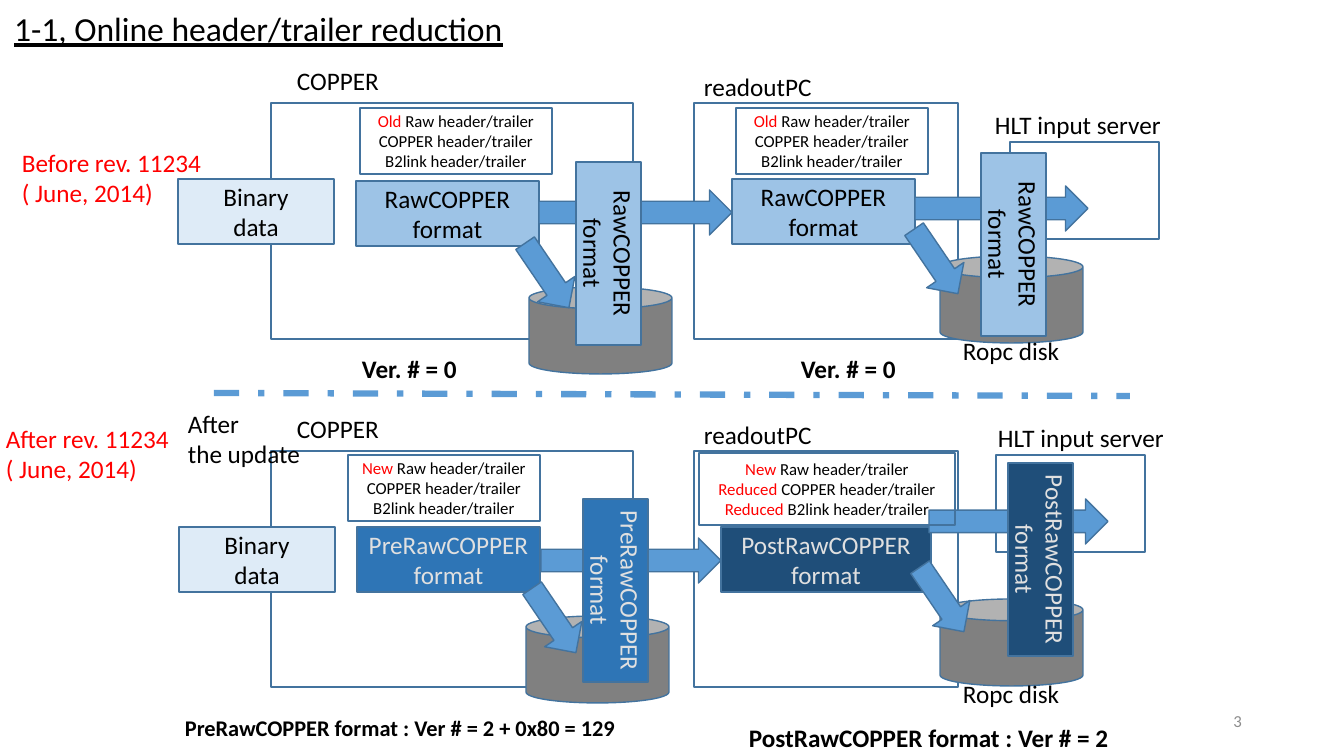
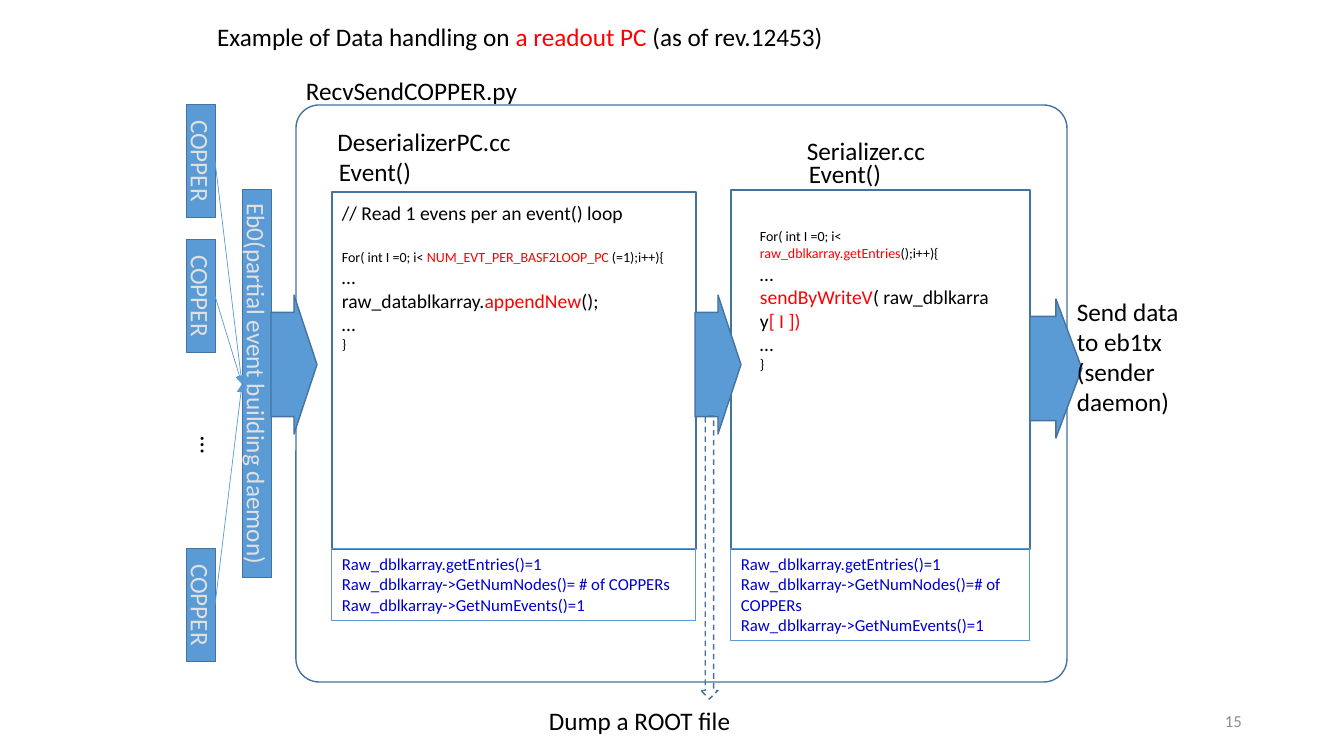
from dataclasses import dataclass

from lxml import etree
from pptx import Presentation, util as u
from pptx.dml.color import RGBColor
from pptx.enum import dml, shapes, text
from pptx.oxml.ns import qn

# Shared look
FONT = "Calibri"
BLACK = RGBColor(0x00, 0x00, 0x00)
WHITE = RGBColor(0xFF, 0xFF, 0xFF)
RED = RGBColor(0xFF, 0x00, 0x00)
CODE_BLUE = RGBColor(0x00, 0x00, 0xCC)
PALE_INK = RGBColor(0xE0, 0xE0, 0xE0)
GREY = RGBColor(0x8C, 0x8C, 0x8C)
DISK_GREY = RGBColor(0x80, 0x80, 0x80)
OUTLINE = RGBColor(0x43, 0x73, 0x9E)
ACCENT = RGBColor(0x5B, 0x9B, 0xD5)
BINARY_FILL = RGBColor(0xDE, 0xEB, 0xF7)
RAW_FILL = RGBColor(0x9D, 0xC3, 0xE6)
PRE_FILL = RGBColor(0x2E, 0x75, 0xB6)
POST_FILL = RGBColor(0x1F, 0x4E, 0x79)

SLIDE_W, SLIDE_H = 1344, 756
SCALE = 12192000 / SLIDE_W
SHAPE = shapes.MSO_SHAPE
LEFT, CENTER, RIGHT = text.PP_ALIGN.LEFT, text.PP_ALIGN.CENTER, text.PP_ALIGN.RIGHT
TOP, MIDDLE = text.MSO_ANCHOR.TOP, text.MSO_ANCHOR.MIDDLE


def px(*lengths):
    return [u.Emu(round(length * SCALE)) for length in lengths]


# Text and shape helpers
def write(frame, lines, size=18, color=BLACK, align=LEFT, anchor=TOP, bold=None, wrap=True, sizes=None):
    """Each line is a string, or a list of (string, colour) runs."""
    frame.word_wrap = wrap
    frame.auto_size = text.MSO_AUTO_SIZE.NONE
    frame.vertical_anchor = anchor
    for i, line in enumerate(lines):
        paragraph = frame.paragraphs[0] if i == 0 else frame.add_paragraph()
        paragraph.alignment = align
        font = paragraph.font
        font.name, font.bold = FONT, bold
        font.size = u.Pt(sizes[i] if sizes else size)
        if isinstance(line, str):
            font.color.rgb = color
            paragraph.add_run().text = line
            continue
        for words, ink in line:
            run = paragraph.add_run()
            run.text = words
            run.font.color.rgb = ink


def label(slide, x, y, w, h, lines, wrap=False, **style):
    box = slide.shapes.add_textbox(*px(x, y, w, h))
    write(box.text_frame, lines, wrap=wrap, **style)
    return box


def block(slide, kind, x, y, w, h, fill=None, line=OUTLINE, weight=1, turn=0, adjust=()):
    shape = slide.shapes.add_shape(kind, *px(x, y, w, h))
    shape.shadow.inherit = False
    shape.rotation = turn
    for i, value in enumerate(adjust):
        shape.adjustments[i] = value
    if fill is None:
        shape.fill.background()
    else:
        shape.fill.solid()
        shape.fill.fore_color.rgb = fill
    shape.line.color.rgb = line
    shape.line.width = u.Pt(weight)
    return shape


def caption_block(slide, x, y, w, h, lines, fill=None, color=BLACK, size=18, turn=0):
    shape = block(slide, SHAPE.RECTANGLE, x, y, w, h, fill, turn=turn)
    write(shape.text_frame, lines, size, color, CENTER, MIDDLE)
    return shape


def straight(slide, start, end, weight):
    line = slide.shapes.add_connector(shapes.MSO_CONNECTOR.STRAIGHT, *px(*start, *end))
    line.line.color.rgb = ACCENT
    line.line.width = u.Pt(weight)
    etree.SubElement(line._element.spPr, qn("a:effectLst"))
    return line


def new_slide(prs, number, title_box, title, size):
    slide = prs.slides.add_slide(prs.slide_layouts[5])
    slide.background.fill.solid()
    slide.background.fill.fore_color.rgb = WHITE
    heading = slide.shapes.title
    heading.left, heading.top, heading.width, heading.height = px(*title_box)
    write(heading.text_frame, [title], size, wrap=False)
    label(slide, 950, 701, 302, 40, [str(number)], wrap=True, size=12, color=GREY,
          align=RIGHT, anchor=MIDDLE)
    return slide


# Slide 1: one row of the data flow, before or after the update
@dataclass
class Hop:
    """One format passed on; places are relative to the top of the row."""
    name: str
    fill: RGBColor
    ink: RGBColor
    source: tuple    # x, y, width
    arrow: tuple     # x, y, width
    to_disk: tuple   # x, y
    stored: tuple    # x, y, width
    disk: tuple      # x, y
    headers: tuple   # x, y, width, height
    header_lines: list


def draw_hop(slide, top, hop):
    lines = [hop.name, "format"]
    x, y = hop.disk
    block(slide, SHAPE.CAN, x, top + y, 143, 87, DISK_GREY)
    x, y, w = hop.source
    caption_block(slide, x, top + y, w, 65, lines, hop.fill, hop.ink)
    x, y, w = hop.arrow
    block(slide, SHAPE.RIGHT_ARROW, x, top + y, w, 45, ACCENT)
    x, y = hop.to_disk
    block(slide, SHAPE.RIGHT_ARROW, x, top + y, 78, 45, ACCENT, turn=55.8)
    x, y, w = hop.stored
    caption_block(slide, x, top + y, w, 65, lines, hop.fill, hop.ink, turn=90)
    x, y, w, h = hop.headers
    caption_block(slide, x, top + y, w, h, hop.header_lines, size=12)


def data_row(slide, top, binary_x, hlt, hlt_label_x, hops):
    # Machines
    for name, x, w, label_x, rise, label_w in (("COPPER", 271, 362, 287, 43, 103),
                                               ("readoutPC", 694, 264, 694, 37, 129)):
        block(slide, SHAPE.RECTANGLE, x, top, w, 236)
        label(slide, label_x, top - rise, label_w, 40, [name])
    hlt_x, hlt_y = hlt
    block(slide, SHAPE.RECTANGLE, hlt_x, top + hlt_y, 149, 97)
    label(slide, hlt_label_x, top + hlt_y - 38, 189, 40, ["HLT input server"])
    # Data and formats
    caption_block(slide, binary_x, top + 76, 156, 65, ["Binary", "data"], BINARY_FILL)
    for hop in hops:
        draw_hop(slide, top, hop)
    disk_x, disk_y = hops[-1].disk
    label(slide, disk_x + 13, top + disk_y + 74, 118, 40, ["Ropc disk"])


def header_lines(age, mark=None):
    kinds = ["COPPER header/trailer", "B2link header/trailer"]
    rest = [[(mark, RED), (" " + kind, BLACK)] for kind in kinds] if mark else kinds
    return [[(age, RED), (" Raw header/trailer", BLACK)]] + rest


def reduction_slide(prs):
    slide = new_slide(prs, 3, (4, 3, 514, 50), "1-1, Online header/trailer reduction", 24)
    slide.shapes.title.text_frame.paragraphs[0].font.underline = True
    old, new = header_lines("Old"), header_lines("New")
    data_row(slide, 103, 178, (1010, 39), 985, [
        Hop("RawCOPPER", RAW_FILL, BLACK, (356, 78, 183), (539, 87, 193), (508, 150),
            (517, 118, 183), (529, 184), (360, 5, 192, 66), old),
        Hop("RawCOPPER", RAW_FILL, BLACK, (732, 76, 183), (915, 83, 173), (897, 136),
            (922, 109, 183), (940, 153), (736, 5, 192, 66), old)])
    data_row(slide, 451, 179, (996, 4), 988, [
        Hop("PreRawCOPPER", PRE_FILL, PALE_INK, (357, 76, 183), (541, 87, 180), (515, 147),
            (524, 107, 183), (526, 165), (348, 4, 192, 66), new),
        Hop("PostRawCOPPER", POST_FILL, PALE_INK, (721, 76, 210), (929, 48, 179), (903, 126),
            (944, 76, 193), (940, 148), (699, 2, 256, 72), header_lines("New", "Reduced"))])
    divider = straight(slide, (214, 393), (1130, 396), 4.5)
    divider.line.dash_style = dml.MSO_LINE.DASH_DOT
    # Revisions and versions
    label(slide, 12, 142, 202, 72, ["Before rev. 11234", "( June, 2014)"], color=RED)
    label(slide, -4, 418, 186, 72, ["After rev. 11234", "( June, 2014)"], color=RED)
    label(slide, 178, 403, 134, 72, ["After", "the update"])
    for x, y, w, size, version in (
            (352, 348, 116, 18, "Ver. # = 0"),
            (791, 348, 116, 18, "Ver. # = 0"),
            (175, 709, 462, 16, "PreRawCOPPER format : Ver # = 2 + 0x80 = 129"),
            (739, 717, 384, 18, "PostRawCOPPER format : Ver # = 2")):
        label(slide, x, y, w, 40, [version], size=size, bold=True)


# Slide 2: event building, then two modules in one script
def event_building(slide, x, y):
    def upright(top, length, left, name):
        """A bar turned by 90 degrees, given by its place as seen."""
        return caption_block(slide, left + 15 - length / 2, top + length / 2 - 15, length, 29,
                             [name], ACCENT, PALE_INK, turn=90)

    builder_left, builder_mid = x + 56, y + 279
    coppers = [(top, upright(top, 113, x, "COPPER")) for top in (y, y + 135, y + 444)]
    dots = label(slide, x + 6, y + 321, 38, 40, ["…"])
    dots.rotation = 90
    builder = upright(y + 85, 388, builder_left, "Eb0(partial event building daemon)")
    for top, copper in coppers:
        start, end = (x + 29, top + 56), (builder_left, builder_mid)
        link = straight(slide, start, end, 0.5)
        # The turned bars have their top on the right and bottom on the left
        link.begin_connect(copper, 0)
        link.end_connect(builder, 2)
        link.begin_x, link.begin_y = px(*start)
        link.end_x, link.end_y = px(*end)
        etree.SubElement(link.line._get_or_add_ln(), qn("a:tailEnd"), type="triangle")


def module(slide, x, y, w, bottom, titles, code_box, code, sizes, nodes, facts_h):
    block(slide, SHAPE.RECTANGLE, x, y, w, bottom - y)
    for title, dx, dy, title_w in titles:
        label(slide, x + dx, y + dy, title_w, 40, [title], align=CENTER)
    dx, dy, code_w, code_h = code_box
    listing = label(slide, x + dx, y + dy, code_w, code_h, code, wrap=True, sizes=sizes)
    facts = block(slide, SHAPE.RECTANGLE, x, bottom, w, facts_h, line=ACCENT, weight=0.75)
    write(facts.text_frame, ["Raw_dblkarray.getEntries()=1",
                             "Raw_dblkarray->GetNumNodes()=" + nodes,
                             "Raw_dblkarray->GetNumEvents()=1"], 12, CODE_BLUE)
    return listing


def handling_slide(prs):
    title = [("Example of Data handling on ", BLACK), ("a readout PC ", RED),
             ("(as of rev.12453)", BLACK)]
    slide = new_slide(prs, 15, (207, 16, 627, 40), title, 18)
    # Script frame
    label(slide, 296, 70, 234, 40, ["RecvSendCOPPER.py"])
    block(slide, SHAPE.ROUNDED_RECTANGLE, 296, 105, 771, 577, adjust=[0.04])
    # Modules
    reading = module(
        slide, 332, 192, 364, 549,
        [("DeserializerPC.cc", -6, -71, 196), ("Event()", -4, -41, 94)],
        (0, 4, 348, 163),
        ["// Read 1 evens per an event() loop",
         [("For( int I =0; i< ", BLACK), ("NUM_EVT_PER_BASF2LOOP_PC ", RED), ("(=1);i++){", BLACK)],
         "…",
         [("raw_datablkarray.", BLACK), ("appendNew", RED), ("();", BLACK)],
         "…", "}"],
        [14, 10, 14, 14, 14, 10], " # of COPPERs", 72)
    reading.text_frame.paragraphs[1].space_before = u.Pt(17)
    module(
        slide, 731, 190, 299, 549,
        [("Serializer.cc", 65, -60, 140), ("Event()", 67, -37, 94)],
        (19, 33, 256, 180),
        [[("For( int I =0; i< ", BLACK), ("raw_dblkarray.getEntries", RED), ("();i++){", BLACK)],
         "…",
         [("sendByWriteV", RED), ("( raw_dblkarray", BLACK), ("[ I ])", RED)],
         "…", "}"],
        [10, 14, 14, 14, 10], "# of COPPERs", 92)
    # Flow between the parts
    event_building(slide, 186, 105)
    for x, y, w in ((271, 295, 46), (695, 295, 46), (1030, 299, 52)):
        block(slide, SHAPE.RIGHT_ARROW, x, y, w, 139, ACCENT, adjust=[0.75, 0.5])
    dump = block(slide, SHAPE.DOWN_ARROW, 701, 416, 17, 283)
    dump.line.dash_style = dml.MSO_LINE.DASH
    label(slide, 539, 700, 204, 40, ["Dump a ROOT file"])
    label(slide, 1067, 291, 123, 132, ["Send data", "to eb1tx", "(sender", "daemon)"])


def main():
    prs = Presentation()
    prs.slide_width, prs.slide_height = px(SLIDE_W, SLIDE_H)
    reduction_slide(prs)
    handling_slide(prs)
    prs.save("out.pptx")


if __name__ == "__main__":
    main()
